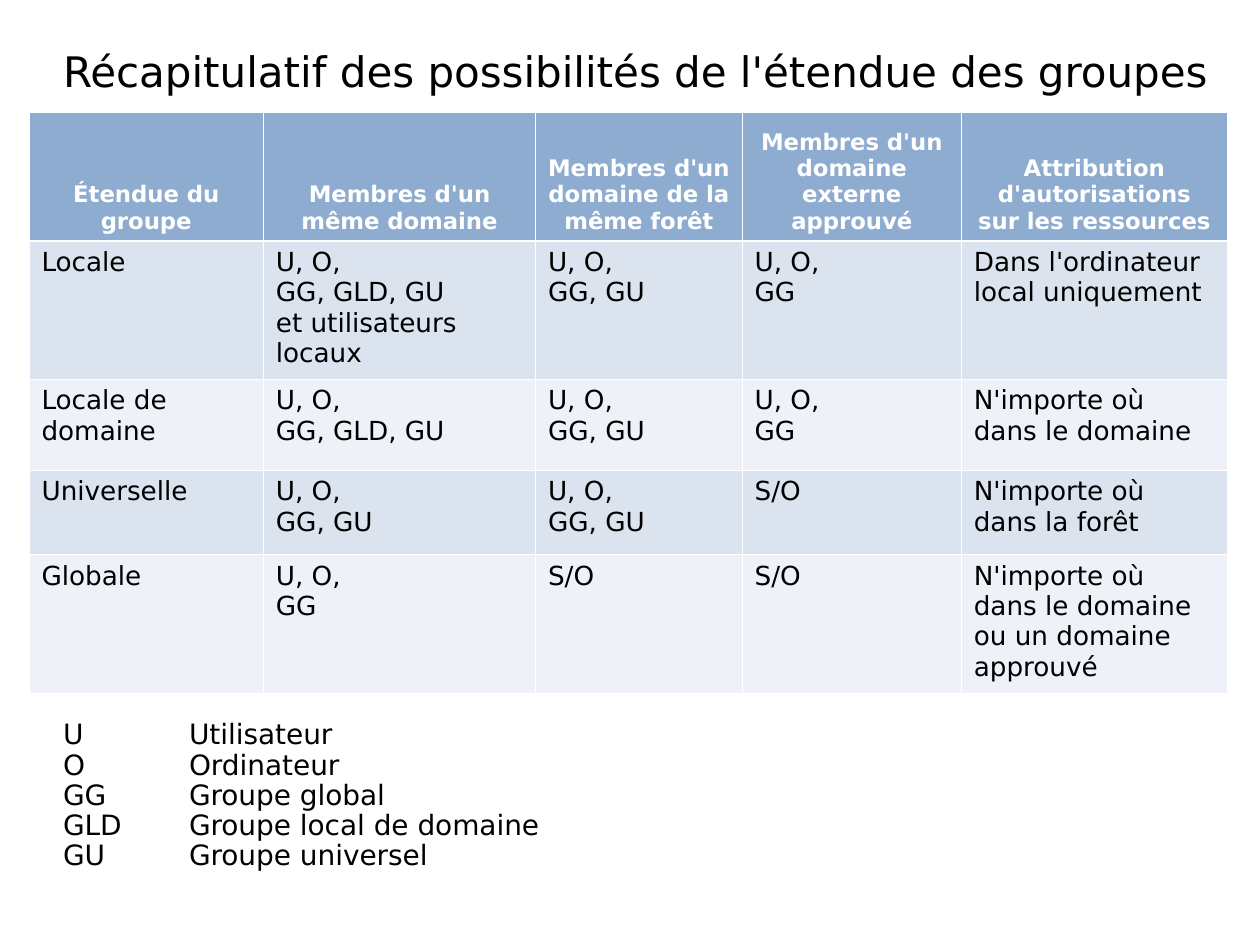
from dataclasses import dataclass
from typing import NamedTuple

import lxml.etree
import pptx
import pptx.dml.color
import pptx.enum.text
import pptx.oxml.ns
import pptx.util

Inches = pptx.util.Inches
Align = pptx.enum.text.PP_ALIGN
Anchor = pptx.enum.text.MSO_ANCHOR
qn = pptx.oxml.ns.qn


@dataclass(frozen=True)
class Theme:
    font: str = "DejaVu Sans"
    text: str = "000000"
    light: str = "FFFFFF"
    header: str = "8DACD0"
    bands: tuple[str, str] = ("DBE3EE", "EEF1F7")
    title_size: float = 24
    header_size: float = 13
    cell_size: float = 15
    legend_size: float = 16
    border: float = 0.45
    header_rule: float = 1.47


class Box(NamedTuple):
    left: float
    top: float
    width: float
    height: float


class Scope(NamedTuple):
    name: str
    same_domain: str
    same_forest: str
    external_domain: str
    permissions: str


class Abbreviation(NamedTuple):
    code: str
    meaning: str


THEME = Theme()
TITLE = "Récapitulatif des possibilités de l'étendue des groupes"
TITLE_BOX = Box(0.5, 0, 9.5, 0.81)
TABLE_BOX = Box(0.23, 0.89, 9.51, 4.61)
LEGEND_BOX = Box(0.5, 5.72, 8.48, 1.34)
COLUMN_WIDTHS = (1.86, 2.16, 1.64, 1.74, 2.11)
ROW_HEIGHTS = (1.02, 1.1, 0.72, 0.67, 1.1)
HEADERS = Scope(
    "Étendue du groupe",
    "Membres d'un même domaine",
    "Membres d'un domaine de la même forêt",
    "Membres d'un domaine externe approuvé",
    "Attribution\nd'autorisations sur les ressources",
)
SCOPES = (
    Scope("Locale", "U, O,\nGG, GLD, GU\net utilisateurs locaux", "U, O,\nGG, GU",
          "U, O,\nGG", "Dans l'ordinateur local uniquement"),
    Scope("Locale de domaine", "U, O,\nGG, GLD, GU", "U, O,\nGG, GU",
          "U, O,\nGG", "N'importe où dans le domaine"),
    Scope("Universelle", "U, O,\nGG, GU", "U, O,\nGG, GU",
          "S/O", "N'importe où dans la forêt"),
    Scope("Globale", "U, O,\nGG", "S/O",
          "S/O", "N'importe où dans le domaine ou un domaine approuvé"),
)
LEGEND = (
    Abbreviation("U", "Utilisateur"),
    Abbreviation("O", "Ordinateur"),
    Abbreviation("GG", "Groupe global"),
    Abbreviation("GLD", "Groupe local de domaine"),
    Abbreviation("GU", "Groupe universel"),
)


def inches(box: Box) -> list[int]:
    return [Inches(value) for value in box]


def write(tf, text: str, size: float, color: str, bold: bool = False,
          align=Align.LEFT, spacing: float = 1) -> None:
    tf.text = text
    tf.word_wrap = True
    for p in tf.paragraphs:
        p.alignment = align
        p.line_spacing = spacing
        for r in p.runs:
            r.font.name = THEME.font
            r.font.size = pptx.util.Pt(size)
            r.font.bold = bold
            r.font.color.rgb = pptx.dml.color.RGBColor.from_string(color)


def set_margins(tf, left: float, top: float, right: float, bottom: float) -> None:
    tf.margin_left, tf.margin_top = Inches(left), Inches(top)
    tf.margin_right, tf.margin_bottom = Inches(right), Inches(bottom)


def set_borders(cell, top: float, bottom: float) -> None:
    tc_pr = cell._tc.get_or_add_tcPr()
    widths = {"a:lnL": THEME.border, "a:lnR": THEME.border, "a:lnT": top, "a:lnB": bottom}
    for tag, width in widths.items():
        line = lxml.etree.SubElement(tc_pr, qn(tag), w=str(int(pptx.util.Pt(width))))
        fill = lxml.etree.SubElement(line, qn("a:solidFill"))
        lxml.etree.SubElement(fill, qn("a:srgbClr"), val=THEME.light)


def draw_title(s) -> None:
    sp = s.shapes.title
    sp.left, sp.top, sp.width, sp.height = inches(TITLE_BOX)
    tf = sp.text_frame
    write(tf, TITLE, THEME.title_size, THEME.text, spacing=0.85)
    tf.auto_size = pptx.enum.text.MSO_AUTO_SIZE.NONE
    tf.vertical_anchor = Anchor.BOTTOM
    set_margins(tf, 0, 0.05, 0.1, 0.05)


def draw_legend(s, entries: tuple[Abbreviation, ...]) -> None:
    tf = s.shapes.add_textbox(*inches(LEGEND_BOX)).text_frame
    set_margins(tf, 0, 0, 0, 0)
    write(tf, "\n".join("\t".join(entry) for entry in entries),
          THEME.legend_size, THEME.text, spacing=0.9)
    for p in tf.paragraphs:
        tabs = lxml.etree.SubElement(p._p.get_or_add_pPr(), qn("a:tabLst"))
        lxml.etree.SubElement(tabs, qn("a:tab"), pos=str(int(Inches(1))), algn="l")


def draw_cell(cell, text: str, row: int) -> None:
    is_header = row == 0
    set_borders(cell,
                top=THEME.header_rule if row == 1 else THEME.border,
                bottom=THEME.header_rule if is_header else THEME.border)
    cell.fill.solid()
    fill = THEME.header if is_header else THEME.bands[(row - 1) % 2]
    cell.fill.fore_color.rgb = pptx.dml.color.RGBColor.from_string(fill)
    if is_header:
        cell.vertical_anchor = Anchor.BOTTOM
        write(cell.text_frame, text, THEME.header_size, THEME.light, True, Align.CENTER)
    else:
        cell.vertical_anchor = Anchor.TOP
        write(cell.text_frame, text, THEME.cell_size, THEME.text)


def draw_table(s, rows: tuple[Scope, ...]) -> None:
    table = s.shapes.add_table(len(rows), len(COLUMN_WIDTHS), *inches(TABLE_BOX)).table
    for column, width in zip(table.columns, COLUMN_WIDTHS):
        column.width = Inches(width)
    for i, (scope, height) in enumerate(zip(rows, ROW_HEIGHTS)):
        table.rows[i].height = Inches(height)
        for j, text in enumerate(scope):
            draw_cell(table.cell(i, j), text, i)


def main() -> None:
    prs = pptx.Presentation()
    prs.slide_width, prs.slide_height = Inches(10), Inches(7.5)
    s = prs.slides.add_slide(prs.slide_layouts[5])
    draw_title(s)
    draw_legend(s, LEGEND)
    draw_table(s, (HEADERS, *SCOPES))
    prs.save("out.pptx")


if __name__ == "__main__":
    main()
